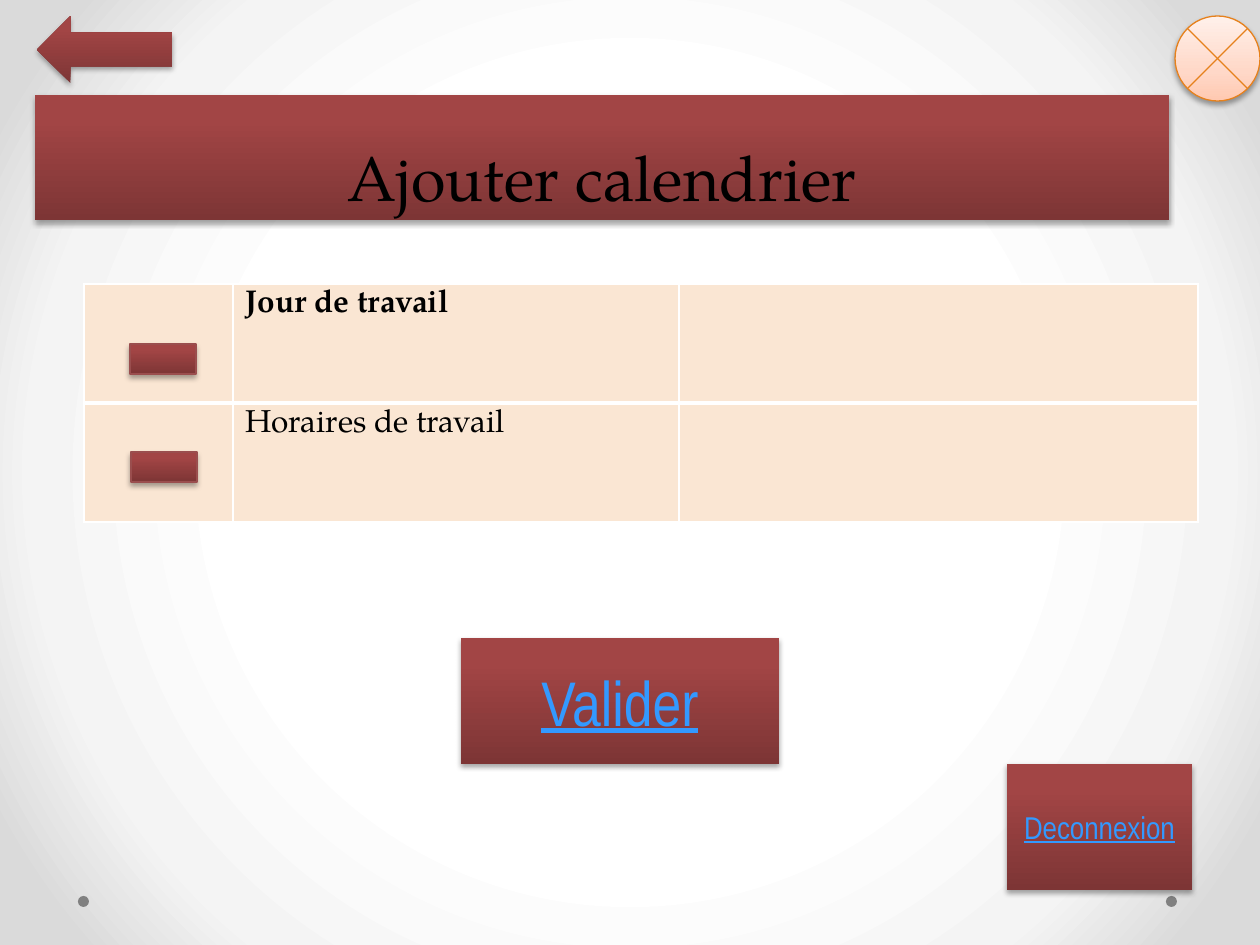
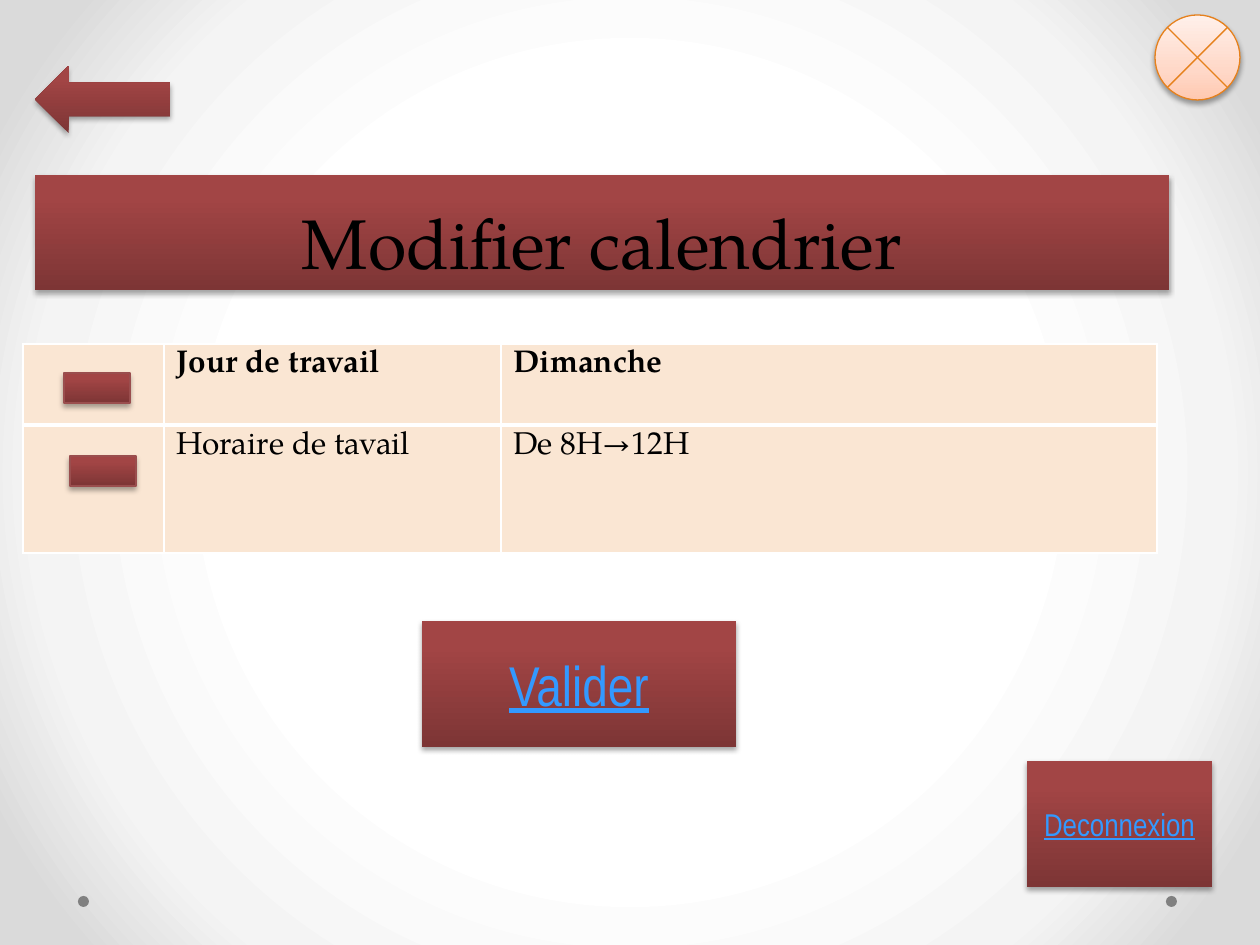
from pptx import Presentation
from pptx.dml.color import RGBColor
from pptx.enum.shapes import MSO_SHAPE as SHAPE
from pptx.enum.text import MSO_ANCHOR as ANCHOR, MSO_AUTO_SIZE as AUTO, PP_ALIGN as ALIGN
from pptx.oxml import parse_xml
from pptx.oxml.ns import nsdecls, qn
from pptx.util import Pt

PX = 914400 / 126
SERIF, NARROW = "TeX Gyre Pagella", "Arial Narrow"
BLACK, WHITE, LINK, GREY, CREAM = "000000", "FFFFFF", "3399FF", "808080", "FAE6D3"
RED = [(0, "7D3535"), (80, "A24545"), (100, "A44343")]
PEACH = [(0, "FFC9B1"), (35, "FFD8C8"), (100, "FFF0EA")]
GLOW = [(50, WHITE), (76, "F4F4F4"), (92, "DADADA")]
RED_LINE, ORANGE = "9A4E4E", "E6811C"
UPWARD = '<a:lin ang="16200000" scaled="0"/>'
RADIAL = '<a:path path="circle"><a:fillToRect l="50000" t="50000" r="50000" b="50000"/></a:path>'


def paint(s, fill, line=None, parent=None, course=UPWARD):
    """Fill s with a colour or gradient stops; shapes also get a line and shadow."""
    s.fill.solid()
    if isinstance(fill, str):
        s.fill.fore_color.rgb = RGBColor.from_string(fill)
    else:
        holder = s.element.spPr if parent is None else parent.element.find(".//" + qn("p:bgPr"))
        stops = "".join(f'<a:gs pos="{pos * 1000}"><a:srgbClr val="{c}"/></a:gs>' for pos, c in fill)
        holder.replace(holder.find(qn("a:solidFill")), parse_xml(
            f'<a:gradFill {nsdecls("a")} rotWithShape="1"><a:gsLst>{stops}</a:gsLst>{course}</a:gradFill>'))
    if not hasattr(s, "shadow"):
        return
    if line:
        s.line.color.rgb = RGBColor.from_string(line)
        s.line.width = Pt(0.75)
    else:
        s.line.fill.background()
    s.shadow.inherit = False
    if not isinstance(fill, str):
        s.element.spPr.find(qn("a:effectLst")).append(parse_xml(
            f'<a:outerShdw {nsdecls("a")} blurRad="39400" dist="22900" dir="5400000" rotWithShape="0">'
            f'<a:srgbClr val="{BLACK}"><a:alpha val="35000"/></a:srgbClr></a:outerShdw>'))


def write(tf, text, size, font=SERIF, color=BLACK, bold=False, underline=False,
          align=ALIGN.LEFT, anchor=ANCHOR.TOP, spacing=None):
    tf.word_wrap = True
    tf.auto_size = AUTO.NONE
    tf.vertical_anchor = anchor
    p = tf.paragraphs[0]
    p.alignment = align
    p.line_spacing = spacing
    r = p.add_run()
    r.text = text
    r.font.size, r.font.name = Pt(size), font
    r.font.bold, r.font.underline = bold, underline
    r.font.color.rgb = RGBColor.from_string(color)


screens = [
    dict(title="Ajouter calendrier", title_size=36, title_top=95, title_height=125,
         table_at=(84, 284), cols=[149, 446, 519], rows=[119, 119],
         cells=[["", "Jour de travail", ""], ["", "Horaires de travail", ""]],
         submit_box=(461, 638, 318, 126), submit_size=36, back=(37, 16),
         logout=(1007, 764), close=(1175, 16), minuses=[(131, 452), (130, 344)]),
    dict(title="Modifier calendrier", title_size=40, title_top=175, title_height=115,
         table_at=(23, 344), cols=[141, 337, 656], rows=[81, 128],
         cells=[["", "Jour de travail", "Dimanche"], ["", "Horaire de tavail", "De 8H→12H"]],
         submit_box=(422, 621, 314, 126), submit_size=32, back=(35, 66),
         logout=(1027, 761), close=(1155, 15), minuses=[(64, 373), (70, 456)]),
]

prs = Presentation()
prs.slide_width, prs.slide_height = round(1260 * PX), round(945 * PX)
master = prs.slide_master
paint(master.background, GLOW, parent=master, course=RADIAL)

for screen in screens:
    slide = prs.slides.add_slide(prs.slide_layouts[5])

    title = slide.shapes.title
    title.left, title.top, title.width, title.height = (
        round(v * PX) for v in (35, screen["title_top"], 1134, screen["title_height"]))
    paint(title, RED)
    write(title.text_frame, screen["title"], screen["title_size"], align=ALIGN.CENTER,
          anchor=ANCHOR.BOTTOM, spacing=Pt(58))

    cols, rows = screen["cols"], screen["rows"]
    box = (*screen["table_at"], sum(cols), sum(rows))
    table = slide.shapes.add_table(len(rows), len(cols), *(round(v * PX) for v in box)).table
    table.first_row = table.horz_banding = False
    for col, width in zip(table.columns, cols):
        col.width = round(width * PX)
    for i, (row, height) in enumerate(zip(table.rows, rows)):
        row.height = round(height * PX)
        for cell, text in zip(row.cells, screen["cells"][i]):
            inner_edge = "B" if i == 0 else "T"
            tcPr = cell._tc.get_or_add_tcPr()
            for edge in "LRTB":
                width = Pt(3 if edge == inner_edge else 1)
                tcPr.append(parse_xml(
                    f'<a:ln{edge} {nsdecls("a")} w="{width}"><a:solidFill>'
                    f'<a:srgbClr val="{WHITE}"/></a:solidFill></a:ln{edge}>'))
            paint(cell, CREAM)
            if text:
                write(cell.text_frame, text, 18, bold=i == 0)

    # kind, box, fill, line, label, label size
    parts = [
        (SHAPE.OVAL, (1166, 896, 11, 11), GREY, None, "", 0),
        (SHAPE.OVAL, (78, 896, 11, 11), GREY, None, "", 0),
        (SHAPE.RECTANGLE, screen["submit_box"], RED, None, "Valider", screen["submit_size"]),
        (SHAPE.LEFT_ARROW, (*screen["back"], 135, 67), RED, None, "", 0),
        (SHAPE.RECTANGLE, (*screen["logout"], 185, 126), RED, None, "Deconnexion", 18),
        (SHAPE.FLOWCHART_SUMMING_JUNCTION, (*screen["close"], 85, 85), PEACH, ORANGE, "", 0),
    ]
    parts += [(SHAPE.RECTANGLE, (*at, 66, 30), RED, RED_LINE, "", 0) for at in screen["minuses"]]
    for kind, box, fill, line, label, size in parts:
        s = slide.shapes.add_shape(kind, *(round(v * PX) for v in box))
        paint(s, fill, line)
        if label:
            write(s.text_frame, label, size, font=NARROW, color=LINK, underline=True,
                  align=ALIGN.CENTER, anchor=ANCHOR.MIDDLE)

prs.save("out.pptx")
